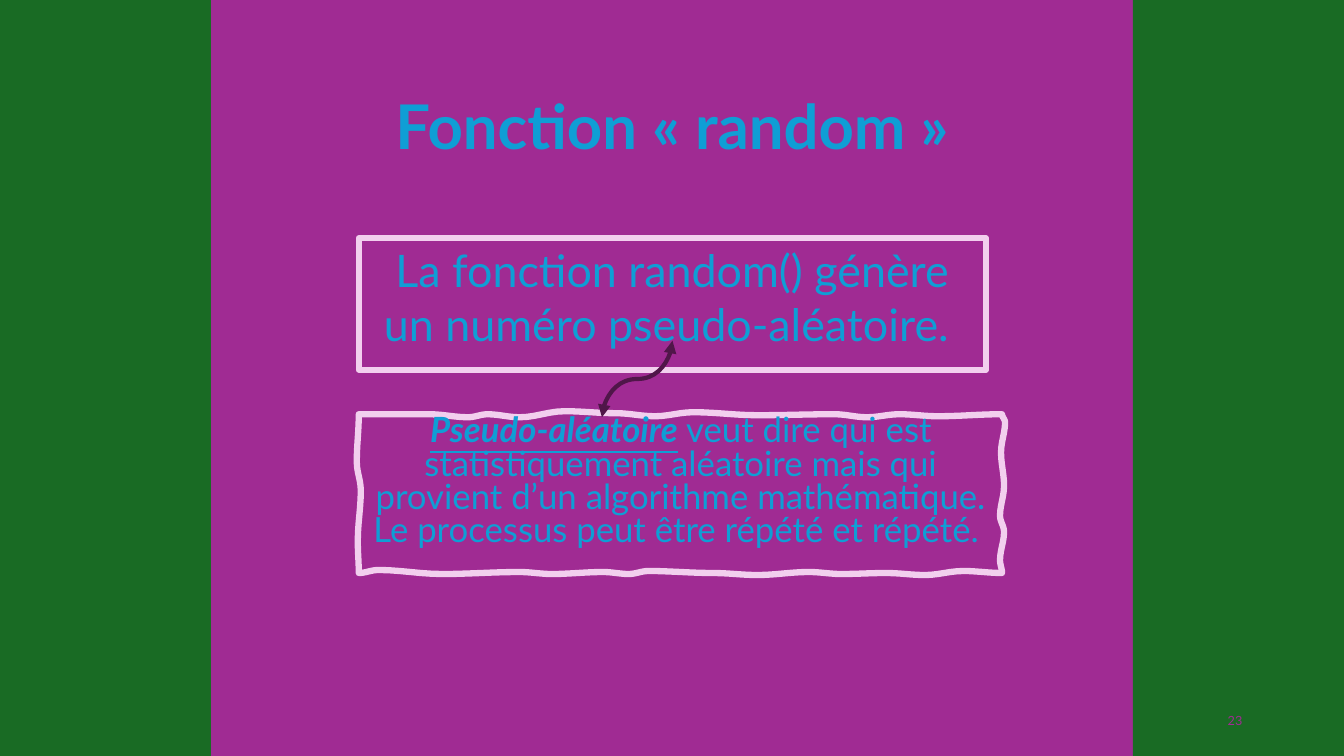
from math import cos, pi
from lxml import etree
from pptx import Presentation
from pptx.dml.color import RGBColor
from pptx.enum.shapes import MSO_CONNECTOR, MSO_SHAPE
from pptx.enum.text import MSO_ANCHOR, PP_ALIGN
from pptx.oxml.ns import qn
from pptx.util import Inches, Pt

RECT, CURVE = MSO_SHAPE.RECTANGLE, MSO_CONNECTOR.CURVE
TOP, MIDDLE, BOTTOM = MSO_ANCHOR.TOP, MSO_ANCHOR.MIDDLE, MSO_ANCHOR.BOTTOM
CENTER, RIGHT = PP_ALIGN.CENTER, PP_ALIGN.RIGHT
W, H = Inches(13.33), Inches(7.5)
GREEN, PURPLE, BLUE, PINK, PLUM = "196B24", "A02B93", "0F9ED5", "F2CFEE", "501649"

WAVES = {
    "top": [(0, 0), (.11, 0), (.17, .03), (.2, 0), (.25, .03), (.32, -.03), (.4, -.01),
            (.46, .02), (.52, -.02), (.62, .01), (.74, 0), (.79, .03), (.84, 0),
            (.9, .02), (1, 0)],
    "right": [(0, 0), (.05, .03), (.24, -.01), (.45, .02), (.64, -.02), (.74, .02),
              (.92, -.02), (1, 0)],
    "bottom": [(0, 0), (.06, -.02), (.12, .02), (.18, 0), (.25, .01), (.3, -.01),
               (.38, .02), (.45, 0), (.55, -.02), (.58, .01), (.62, -.01), (.7, .01),
               (.75, -.01), (.87, .01), (.97, -.03), (1, 0)],
    "left": [(0, 0), (.2, -.01), (.52, .02), (.7, -.02), (1, 0)],
}


def rgb(color):
    """Turn a hex string into a colour."""
    return RGBColor.from_string(color)


def place(x, y, w, h):
    """Turn percentages of the slide into lengths."""
    return [round(share * side / 100) for share, side in zip((x, y, w, h), (W, H, W, H))]


def outline(sp, color, width):
    """Give a shape no fill, no shadow and a line with round corners."""
    sp.shadow.inherit = False
    sp.fill.background()
    sp.line.color.rgb = rgb(color)
    sp.line.width = Pt(width)
    etree.SubElement(sp.line._ln, qn("a:round"))


def add_band(slide, box):
    """Add a plain green side band."""
    sp = slide.shapes.add_shape(RECT, *place(*box))
    sp.shadow.inherit = False
    sp.fill.solid()
    sp.fill.fore_color.rgb = rgb(GREEN)
    sp.line.fill.background()


def write(sp, text, size, color=BLUE, anchor=TOP, align=CENTER, spacing=1, before=0):
    """Fill a shape with one paragraph and return that paragraph."""
    tf = sp.text_frame
    tf.word_wrap = True
    tf.vertical_anchor = anchor
    p = tf.paragraphs[0]
    p.text = text
    p.alignment, p.line_spacing, p.space_before = align, spacing, Pt(before)
    style(p.runs[0], size, color)
    return p


def style(r, size, color):
    """Set the font of a run."""
    r.font.name, r.font.size = "Lato", Pt(size)
    r.font.color.rgb = rgb(color)


def wave(knots, steps=6):
    """Yield smooth points between the knots of one edge."""
    for (s0, d0), (s1, d1) in zip(knots, knots[1:]):
        for i in range(steps):
            t = i / steps
            yield s0 + (s1 - s0) * t, d0 + (d1 - d0) * (1 - cos(pi * t)) / 2


def add_wavy_box(slide, box):
    """Add a hand-drawn rectangle."""
    x, y, w, h = place(*box)
    points = [(x + s * w, y + Inches(d)) for s, d in wave(WAVES["top"])]
    points += [(x + w + Inches(d), y + s * h) for s, d in wave(WAVES["right"])]
    points += [(x + w - s * w, y + h + Inches(d)) for s, d in wave(WAVES["bottom"])]
    points += [(x + Inches(d), y + h - s * h) for s, d in wave(WAVES["left"])]
    builder = slide.shapes.build_freeform(*points[0])
    builder.add_line_segments(points[1:], close=True)
    return builder.convert_to_shape()


def add_curved_arrow(slide, box):
    """Add a double-headed curve turned by a quarter."""
    x, y, w, h = place(*box)
    c = slide.shapes.add_connector(CURVE, x, y, x + w, y + h)
    c.line.color.rgb = rgb(PLUM)
    c.line.width = Pt(3)
    for end in ("a:headEnd", "a:tailEnd"):
        etree.SubElement(c.line._ln, qn(end), type="triangle")
    sp_pr = c._element.spPr
    sp_pr.find(qn("a:xfrm")).set("rot", "5400000")
    etree.SubElement(sp_pr, qn("a:effectLst"))


def main():
    """Build the slide."""
    prs = Presentation()
    prs.slide_width, prs.slide_height = W, H
    slide = prs.slides.add_slide(prs.slide_layouts[6])
    slide.background.fill.solid()
    slide.background.fill.fore_color.rgb = rgb(PURPLE)
    for left in (0, 84.3):
        add_band(slide, (left, 0, 15.7, 100))

    title = slide.shapes.add_textbox(*place(26.7, 3.07, 46.66, 19.07))
    p = write(title, "Fonction « random »", 44, anchor=BOTTOM, spacing=.9)
    p.runs[0].font.bold = True

    statement = slide.shapes.add_shape(RECT, *place(26.7, 31.5, 46.66, 17.4))
    outline(statement, PINK, 4.5)
    write(statement, "La fonction random() génère un numéro pseudo-aléatoire. ", 32, before=10)

    number = slide.shapes.add_textbox(*place(70.67, 92.67, 22.5, 5.33))
    write(number, "23", 9, PURPLE, MIDDLE, RIGHT)

    definition = add_wavy_box(slide, (26.7, 54.8, 47.86, 21))
    outline(definition, PINK, 4.5)
    p = write(definition, "Pseudo-aléatoire", 24.8, spacing=.8, before=10)
    term = p.runs[0].font
    term.bold = term.italic = term.underline = True
    r = p.add_run()
    r.text = (" veut dire qui est statistiquement aléatoire mais qui provient d’un algorithme "
              "mathématique. Le processus peut être répété et répété. ")
    style(r, 24.8, BLUE)

    add_curved_arrow(slide, (44.56, 45.47, 5.7, 9.33))
    prs.save("out.pptx")


if __name__ == "__main__":
    main()
